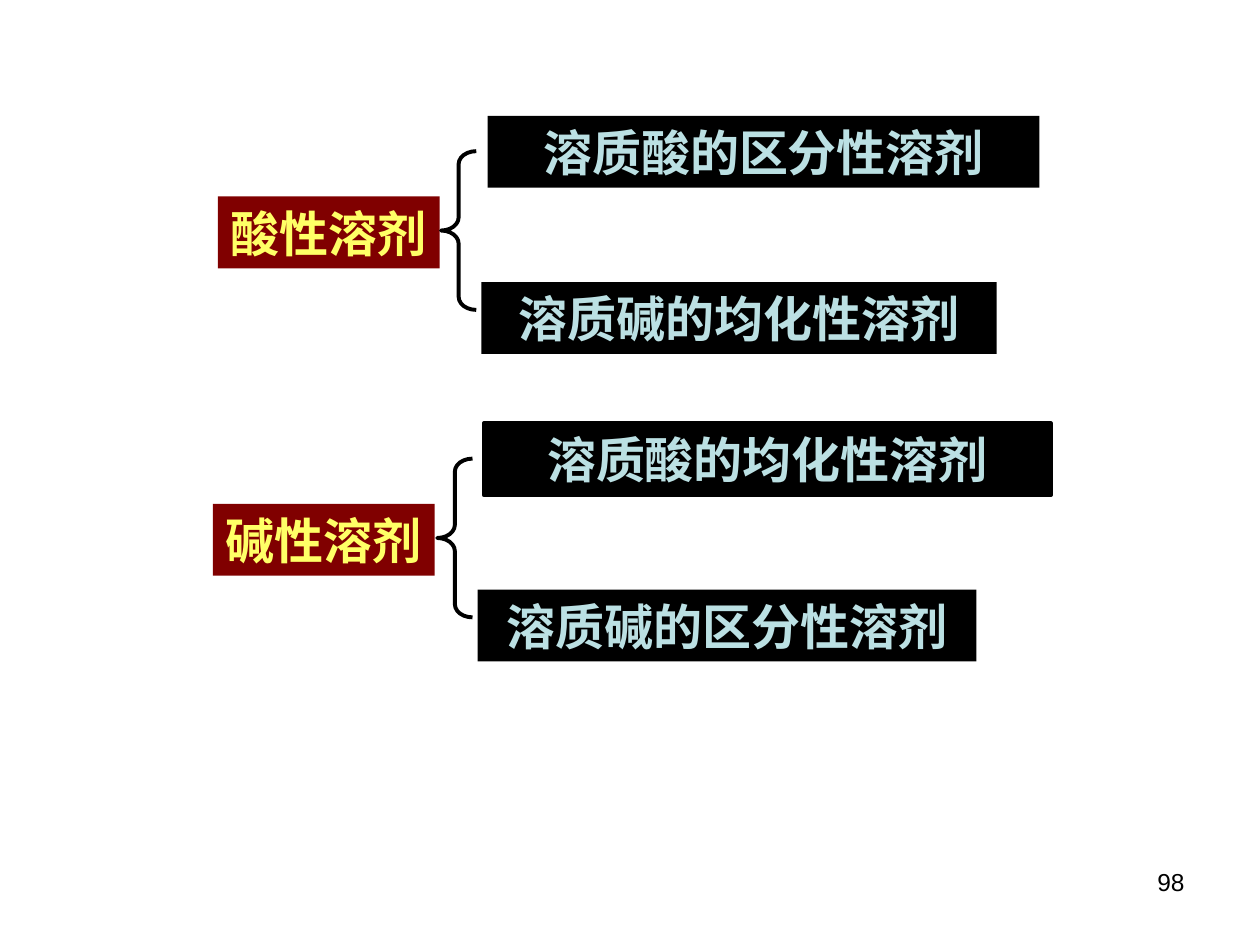
import pptx
import pptx.util
import pptx.dml.color
import pptx.enum.shapes
import pptx.enum.text
from dataclasses import dataclass
from lxml import etree
from pptx.util import Inches

SHAPES = pptx.enum.shapes.MSO_SHAPE
ALIGN = pptx.enum.text.PP_ALIGN
ANCHOR = pptx.enum.text.MSO_ANCHOR


@dataclass(frozen=True)
class Theme:
    black: str = "000000"
    label_fill: str = "800000"
    label_text: str = "FFFF66"
    branch_text: str = "BBE0E3"
    label_font: str = "Comic Neue"
    branch_font: str = "Noto Sans CJK SC"
    number_font: str = "Arial"
    body_size: int = 28
    number_size: int = 14
    line_width: float = 2.25


THEME = Theme()
BOX_HEIGHT = 0.57

# Each group: label, brace and branches, with places in inches
GROUPS = [
    {
        "label": ("酸性溶剂", 1.73, 1.56),
        "brace": (3.5, 1.2),
        "branches": [
            ("溶质酸的区分性溶剂", 3.87, 0.92, 4.38, False),
            ("溶质碱的均化性溶剂", 3.82, 2.24, 4.09, False),
        ],
    },
    {
        "label": ("碱性溶剂", 1.69, 4),
        "brace": (3.47, 3.64),
        "branches": [
            ("溶质酸的均化性溶剂", 3.84, 3.36, 4.5, True),
            ("溶质碱的区分性溶剂", 3.79, 4.68, 3.96, False),
        ],
    },
]


def color(value):
    return pptx.dml.color.RGBColor.from_string(value)


def set_line(shape, outlined):
    if outlined:
        shape.line.color.rgb = color(THEME.black)
        shape.line.width = pptx.util.Pt(THEME.line_width)
    else:
        shape.line.fill.background()


def write_text(shape, text, align, font, size, text_color, bold=False):
    para = shape.text_frame.paragraphs[0]
    para.alignment = align
    span = para.add_run()
    span.text = text
    formats = {"name": font, "size": pptx.util.Pt(size), "bold": bold}
    for name, value in formats.items():
        setattr(span.font, name, value)
    span.font.color.rgb = color(text_color)
    # Chinese characters take their font from the East Asian slot
    east_asian = etree.SubElement(
        span.font._element, pptx.oxml.ns.qn("a:ea"))
    east_asian.set("typeface", font)


def add_box(page, place, text, fill, align, font, text_color, outlined=False):
    box = page.shapes.add_shape(SHAPES.RECTANGLE, *map(Inches, place))
    box.shadow.inherit = False
    box.fill.solid()
    box.fill.fore_color.rgb = color(fill)
    set_line(box, outlined)
    frame = {"word_wrap": False, "vertical_anchor": ANCHOR.MIDDLE}
    for name, value in frame.items():
        setattr(box.text_frame, name, value)
    write_text(box, text, align, font, THEME.body_size, text_color, bold=True)


def add_brace(page, left, top):
    brace = page.shapes.add_shape(
        SHAPES.LEFT_BRACE, Inches(left), Inches(top), Inches(0.28), Inches(1.26))
    brace.shadow.inherit = False
    brace.adjustments[0] = 0.37
    brace.fill.background()
    set_line(brace, True)


def add_group(page, group):
    text, left, top = group["label"]
    add_box(page, (left, top, 1.76, BOX_HEIGHT), text, THEME.label_fill,
            ALIGN.LEFT, THEME.label_font, THEME.label_text)
    add_brace(page, *group["brace"])
    for text, left, top, width, outlined in group["branches"]:
        add_box(page, (left, top, width, BOX_HEIGHT), text, THEME.black,
                ALIGN.CENTER, THEME.branch_font, THEME.branch_text, outlined)


def add_page_number(page, number):
    box = page.shapes.add_textbox(
        Inches(7.17), Inches(6.83), Inches(2.33), Inches(0.52))
    box.text_frame.word_wrap = True
    write_text(box, number, ALIGN.RIGHT, THEME.number_font,
               THEME.number_size, THEME.black)


def main():
    deck = pptx.Presentation()
    deck.slide_width = Inches(10)
    deck.slide_height = Inches(7.5)
    # The slide has no title, so it uses the blank layout
    page = deck.slides.add_slide(deck.slide_layouts[6])
    add_page_number(page, "98")
    for group in GROUPS:
        add_group(page, group)
    deck.save("out.pptx")


if __name__ == "__main__":
    main()
